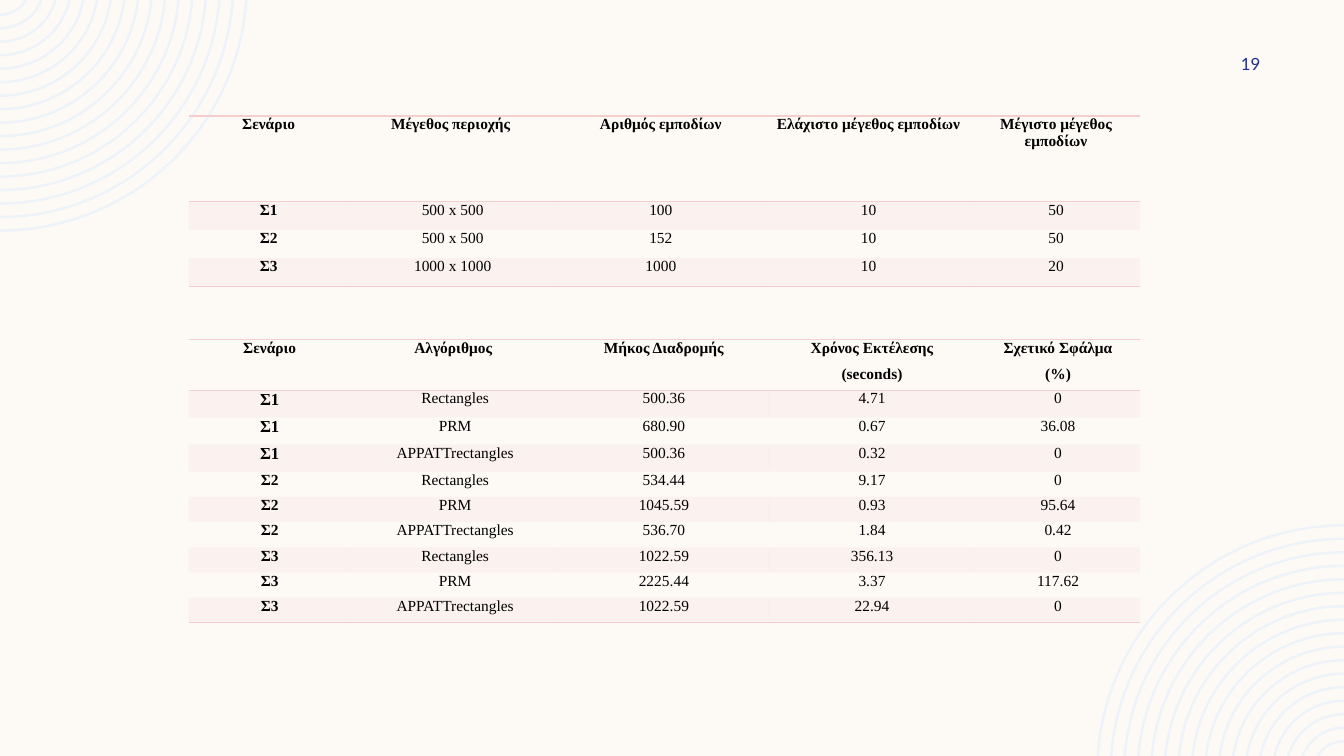
import math

from lxml import etree
from pptx import Presentation
from pptx.dml.color import RGBColor
from pptx.enum import text
from pptx.oxml import ns
from pptx.util import Inches, Pt

COLORS = {
    "background": "FDFAF6",
    "rings": "EEF3FA",
    "number": "1F2C8F",
    "pink": "F5CDCE",
    "black": "000000",
}
NO_STYLE_NO_GRID = "{2D5ABB26-0587-4C30-8999-92F81FD0307C}"
WIDTH, HEIGHT = 13.33, 7.5

SCENARIOS = [
    ["Σενάριο", "Μέγεθος περιοχής ", "Αριθμός εμποδίων",
     "Ελάχιστο μέγεθος εμποδίων", "Μέγιστο μέγεθος εμποδίων"],
    ["Σ1", "500 x 500", "100", "10", "50"],
    ["Σ2", "500 x 500", "152", "10", "50"],
    ["Σ3", "1000 x 1000", "1000", "10", "20"],
]
RESULTS = [
    ["Σενάριο", "Αλγόριθμος ", "Μήκος Διαδρομής",
     "Χρόνος Εκτέλεσης\n(seconds)", "Σχετικό Σφάλμα\n(%)"],
    ["Σ1", "Rectangles", "500.36", "4.71", "0"],
    ["Σ1", "PRM", "680.90", "0.67", "36.08"],
    ["Σ1", "APPATTrectangles", "500.36", "0.32", "0"],
    ["Σ2", "Rectangles", "534.44", "9.17", "0"],
    ["Σ2", "PRM", "1045.59", "0.93", "95.64"],
    ["Σ2", "APPATTrectangles", "536.70", "1.84", "0.42"],
    ["Σ3", "Rectangles", "1022.59", "356.13", "0"],
    ["Σ3", "PRM", "2225.44", "3.37", "117.62"],
    ["Σ3", "APPATTrectangles", "1022.59", "22.94", "0"],
]


def color(name):
    return RGBColor.from_string(COLORS[name])


def write(frame, content, *, font="Times New Roman", size=11, bold=False,
          fill="black", align=text.PP_ALIGN.CENTER, space=0):
    """Write each line of content as a formatted paragraph."""
    frame.word_wrap = True
    for index, line in enumerate(content.split("\n")):
        paragraph = frame.add_paragraph() if index else frame.paragraphs[0]
        paragraph.alignment = align
        paragraph.space_before = paragraph.space_after = Pt(space)
        run = paragraph.add_run()
        run.text = line
        run.font.name = font
        run.font.size = Pt(size)
        run.font.bold = bold
        run.font.color.rgb = color(fill)


def arc_points(radius):
    """Return start, two Bézier controls and end of an arc cut at the slide's edge."""
    start = math.asin(0.16 / radius)
    x, y = radius * math.cos(start), radius * math.sin(start)
    pull = 4 / 3 * math.tan((math.pi / 2 - start) / 4)
    return [(x, y), (x - pull * y, y + pull * x), (pull * radius, radius), (0, radius)]


def bend(shape):
    """Turn both arcs of every band from three straight segments into one curve."""
    segments = list(shape._element.iter(ns.qn("a:lnTo")))
    for band in range(0, len(segments), 7):
        for first in (band, band + 4):
            curve = etree.Element(ns.qn("a:cubicBezTo"))
            segments[first].addprevious(curve)
            for segment in segments[first:first + 3]:
                curve.append(segment[0])
                segment.getparent().remove(segment)


def add_rings(slide, center_x, center_y, direction, count=17):
    """Draw concentric quarter rings; direction 1 opens down right, -1 up left."""
    outlines = []
    for index in range(count):
        radius = 2.46 - 0.1338 * index
        corners = arc_points(radius) + arc_points(radius - 0.025)[::-1]
        outlines.append([(Inches(center_x + direction * x), Inches(center_y + direction * y))
                         for x, y in corners])
    builder = slide.shapes.build_freeform(*outlines[0][0])
    for index, outline in enumerate(outlines):
        if index:
            builder.move_to(*outline[0])
        builder.add_line_segments(outline[1:], close=True)
    shape = builder.convert_to_shape()
    bend(shape)
    shape.shadow.inherit = False
    shape.fill.solid()
    shape.fill.fore_color.rgb = color("rings")
    shape.line.fill.background()


def add_number(slide, number):
    shape = slide.shapes.add_textbox(Inches(11.42), Inches(0.5), Inches(1.08), Inches(0.27))
    frame = shape.text_frame
    frame.margin_right = 0
    frame.vertical_anchor = text.MSO_ANCHOR.MIDDLE
    write(frame, number, font="Lato", size=12, fill="number", align=text.PP_ALIGN.RIGHT)


def add_border(cell, side):
    """Add a thin pink line; side is lnT or lnB."""
    line = etree.SubElement(cell._tc.get_or_add_tcPr(), ns.qn(f"a:{side}"), w=str(Pt(1)))
    solid = etree.SubElement(line, ns.qn("a:solidFill"))
    etree.SubElement(solid, ns.qn("a:srgbClr"), val=COLORS["pink"])


def tint(cell, percent):
    cell.fill.solid()
    cell.fill.fore_color.rgb = color("pink")
    solid = cell._tc.tcPr.find(ns.qn("a:solidFill"))
    etree.SubElement(solid[0], ns.qn("a:alpha"), val=str(percent * 1000))


def add_data_table(slide, rows, top, widths, heights, large_labels=()):
    """Add a table with a bold header and first column, and every odd row tinted."""
    shape = slide.shapes.add_table(len(rows), len(widths), Inches(1.87), Inches(top),
                                   Inches(sum(widths)), Inches(sum(heights)))
    table = shape.table
    table.horz_banding = False
    table._tbl.tblPr.find(ns.qn("a:tableStyleId")).text = NO_STYLE_NO_GRID
    for column, width in zip(table.columns, widths):
        column.width = Inches(width)
    for row, height in zip(table.rows, heights):
        row.height = Inches(height)
    for row_index, row in enumerate(rows):
        for column_index, content in enumerate(row):
            cell = table.cell(row_index, column_index)
            cell.margin_left = cell.margin_right = Inches(0.07)
            cell.margin_top = cell.margin_bottom = 0
            is_label = column_index == 0
            write(cell.text_frame, content, space=3,
                  bold=row_index == 0 or is_label,
                  size=12 if is_label and row_index in large_labels else 11)
            if row_index == 0:
                add_border(cell, "lnT")
            if row_index in (0, len(rows) - 1):
                add_border(cell, "lnB")
            if row_index % 2:
                tint(cell, 20)
            else:
                cell.fill.background()


def main():
    presentation = Presentation()
    presentation.slide_width, presentation.slide_height = Inches(WIDTH), Inches(HEIGHT)
    slide = presentation.slides.add_slide(presentation.slide_layouts[6])
    slide.background.fill.solid()
    slide.background.fill.fore_color.rgb = color("background")

    add_rings(slide, 0, -0.16, 1)
    add_rings(slide, WIDTH, HEIGHT + 0.16, -1)
    add_number(slide, "19")
    add_data_table(slide, SCENARIOS, 1.15, [1.59, 2.06, 2.07, 2.05, 1.67],
                   [0.85] + [0.28] * 3)
    add_data_table(slide, RESULTS, 3.37, [1.61, 2.07, 2.07, 2.06, 1.63],
                   [0.5] + [0.27] * 3 + [0.25] * 6, large_labels=(1, 2, 3))
    presentation.save("out.pptx")


if __name__ == "__main__":
    main()
